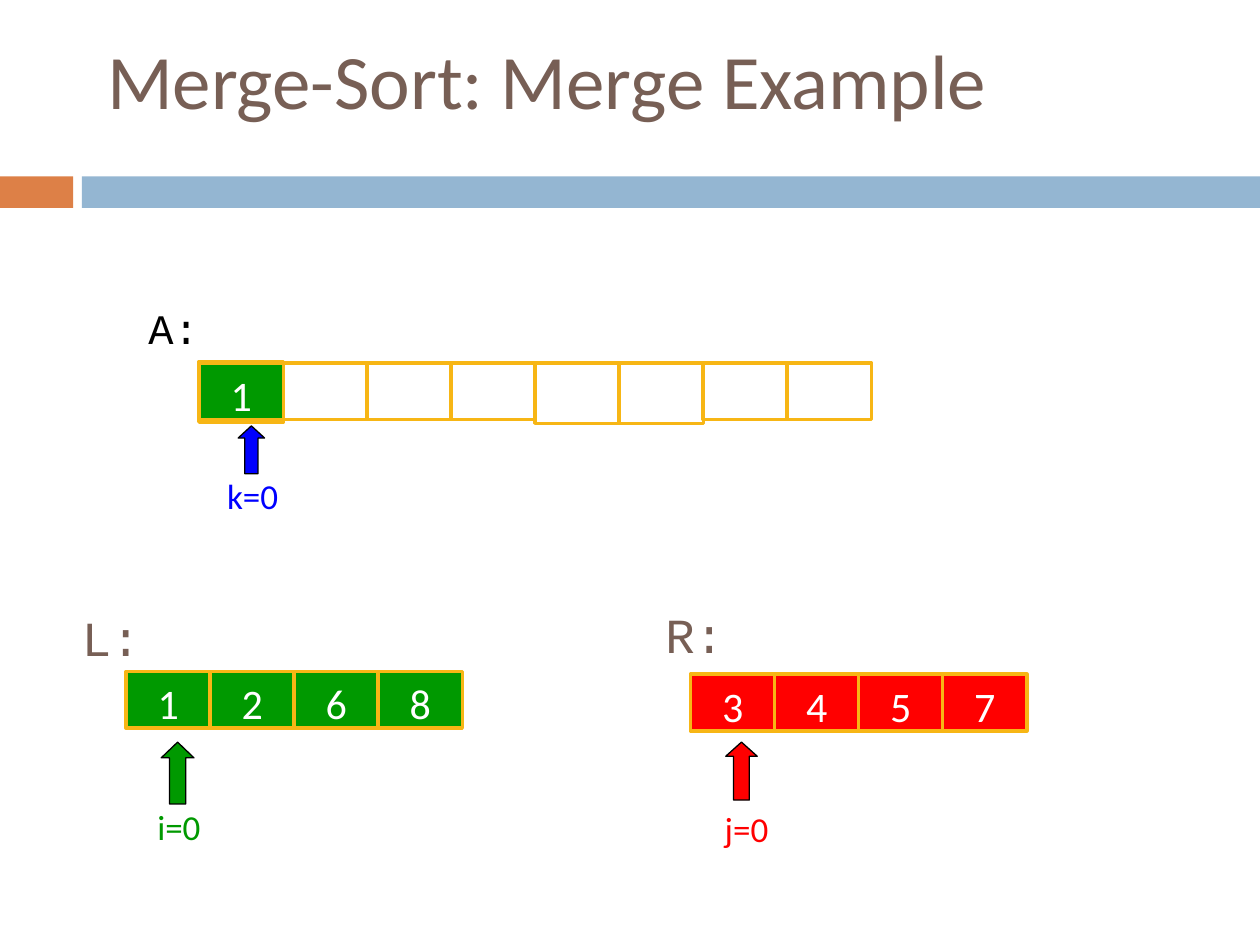
from pptx import Presentation
from pptx import util as u
from pptx.dml import color
from pptx.enum import shapes, text

GREEN, RED, BLUE, BROWN = "009900", "FF0000", "0000FF", "775F55"
GOLD, WHITE, BLACK = "F7B615", "FFFFFF", "000000"
CELL = 0.67
STEP = 2 / 3


def rgb(code):
    """Turn a hex string into a colour."""
    return color.RGBColor.from_string(code)


def place(item, box):
    """Move and size an item, in inches."""
    item.left, item.top, item.width, item.height = map(u.Inches, box)


def write(item, words, size, font, tint, align=text.PP_ALIGN.LEFT):
    """Put one line of formatted text in an item."""
    frame = item.text_frame
    frame.text = words
    frame.word_wrap = True
    frame.auto_size = text.MSO_AUTO_SIZE.NONE
    line = frame.paragraphs[0]
    line.alignment = align
    face = line.runs[0].font
    face.size, face.name = u.Pt(size), font
    face.color.rgb = rgb(tint)


def shape(slide, kind, box, fill, edge=None, width=2):
    """Draw a preset shape with a flat fill."""
    item = slide.shapes.add_shape(kind, *map(u.Inches, box))
    item.shadow.inherit = False
    item.fill.solid()
    item.fill.fore_color.rgb = rgb(fill)
    if edge:
        item.line.color.rgb = rgb(edge)
        item.line.width = u.Pt(width)
    else:
        item.line.fill.background()
    return item


def cell(slide, left, top, fill, words="", high=0.45):
    """Draw one array cell with its value."""
    box = (left, top, CELL, high)
    item = shape(slide, shapes.MSO_SHAPE.RECTANGLE, box, fill, GOLD)
    if words:
        write(item, words, 24, "Calibri", WHITE, text.PP_ALIGN.CENTER)
        frame = item.text_frame
        frame.vertical_anchor = text.MSO_ANCHOR.TOP
        frame.margin_bottom = 0


def row(slide, left, top, fill, values):
    """Draw a filled array."""
    for i, value in enumerate(values):
        cell(slide, left + i * STEP, top, fill, value)


def label(slide, box, words, size, font, tint, side=0.1, align=text.PP_ALIGN.LEFT):
    """Add a text label."""
    item = slide.shapes.add_textbox(*map(u.Inches, box))
    write(item, words, size, font, tint, align)
    frame = item.text_frame
    frame.margin_left = frame.margin_right = u.Inches(side)


def index(slide, arrow, box, words, tint, head):
    """Draw an index arrow and its caption."""
    item = shape(slide, shapes.MSO_SHAPE.UP_ARROW, arrow, tint, BLACK, 0.75)
    item.adjustments[0], item.adjustments[1] = 0.5, head
    label(slide, box, words, 20, "Calibri", tint, 0, text.PP_ALIGN.CENTER)


def main():
    """Build the slide."""
    deck = Presentation()
    deck.slide_width, deck.slide_height = u.Inches(10), u.Inches(7.5)
    slide = deck.slides.add_slide(deck.slide_layouts[5])
    bar = shapes.MSO_SHAPE.RECTANGLE
    shape(slide, bar, (0, 1.4, 0.58, 0.25), "DD8047")
    shape(slide, bar, (0.65, 1.4, 9.35, 0.25), "94B6D2")

    title = slide.shapes.title
    place(title, (0.75, 0, 8.5, 1.25))
    write(title, "Merge-Sort: Merge Example", 44, "Calibri", BROWN)
    title.text_frame.vertical_anchor = text.MSO_ANCHOR.MIDDLE

    for i in range(1, 8):
        high = 0.48 if i in (4, 5) else 0.45
        cell(slide, 1.58 + i * STEP, 2.88, WHITE, high=high)
    cell(slide, 1.58, 2.87, "4D4D4D", high=0.48)
    row(slide, 1.58, 2.88, GREEN, "1")
    row(slide, 1, 5.33, GREEN, "1268")
    row(slide, 5.48, 5.35, RED, "3457")

    mono = "Courier New"
    label(slide, (1.08, 2.35, 0.69, 0.5), "A:", 24, mono, BLACK)
    label(slide, (0.65, 4.77, 0.48, 0.57), "L:", 28, mono, BROWN, 0)
    label(slide, (5.28, 4.75, 0.48, 0.57), "R:", 28, mono, BROWN, 0)

    index(slide, (1.28, 5.89, 0.26, 0.49), (1.18, 6.34, 0.48, 0.44), "i=0", GREEN, 0.48)
    index(slide, (5.76, 5.89, 0.25, 0.46), (5.55, 6.36, 0.75, 0.44), "j=0", RED, 0.45)
    index(slide, (1.89, 3.38, 0.21, 0.38), (1.6, 3.72, 0.81, 0.44), "k=0", BLUE, 0.46)
    deck.save("out.pptx")


if __name__ == "__main__":
    main()
